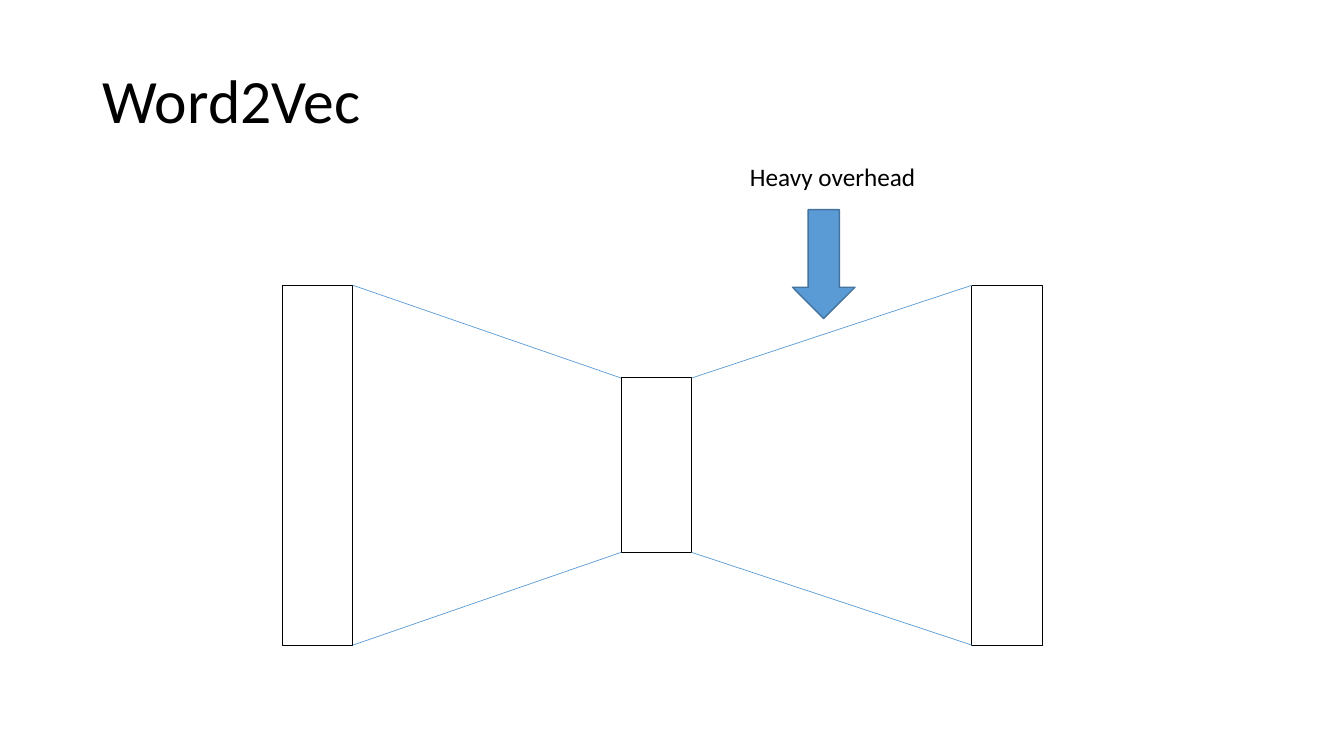
from lxml import etree
from pptx import Presentation
from pptx.dml.color import RGBColor
from pptx.enum.shapes import MSO_CONNECTOR, MSO_SHAPE
from pptx.enum.text import MSO_ANCHOR
from pptx.oxml.ns import qn
from pptx.util import Inches, Pt

STRAIGHT = MSO_CONNECTOR.STRAIGHT
RECTANGLE = MSO_SHAPE.RECTANGLE
DOWN_ARROW = MSO_SHAPE.DOWN_ARROW
MIDDLE = MSO_ANCHOR.MIDDLE
TOP = MSO_ANCHOR.TOP
COLORS = {"black": "000000", "blue": "5B9BD5", "dark blue": "43739E"}


def color(name):
    return RGBColor.from_string(COLORS[name])


deck = Presentation()
deck.slide_width = Inches(13.33)
deck.slide_height = Inches(7.5)
page = deck.slides.add_slide(deck.slide_layouts[6])

# Title and label
texts = [
    ("Word2Vec", 0.92, 0.3, 11.5, 1.45, 44, MIDDLE, True, 0.9),
    ("Heavy overhead", 7.34, 1.55, 1.86, 0.4, 18, TOP, False, 1.0),
]
for words, left, top, width, height, size, anchor, wrap, spacing in texts:
    box = page.shapes.add_textbox(Inches(left), Inches(top), Inches(width), Inches(height))
    box.text_frame.word_wrap = wrap
    box.text_frame.vertical_anchor = anchor
    para = box.text_frame.paragraphs[0]
    para.line_spacing = spacing
    span = para.add_run()
    span.text = words
    span.font.name = "Calibri"
    span.font.size = Pt(size)
    span.font.color.rgb = color("black")

# Network layers: input, hidden, output
layer_width = 0.7
outer_top, outer_bottom = 2.83, 6.4
hidden_top, hidden_bottom = 3.75, 5.48
input_left, hidden_left, output_left = 2.8, 6.16, 9.64
layers = [
    (input_left, outer_top, outer_bottom),
    (hidden_left, hidden_top, hidden_bottom),
    (output_left, outer_top, outer_bottom),
]
for left, top, bottom in layers:
    layer = page.shapes.add_shape(
        RECTANGLE, Inches(left), Inches(top), Inches(layer_width), Inches(bottom - top))
    layer.shadow.inherit = False
    layer.fill.background()
    layer.line.color.rgb = color("black")
    layer.line.width = Pt(0.75)

# Lines joining the corners of neighbouring layers
for (left, *left_ends), (right, *right_ends) in zip(layers, layers[1:]):
    for start_y, end_y in zip(left_ends, right_ends):
        link = page.shapes.add_connector(
            STRAIGHT, Inches(left + layer_width), Inches(start_y), Inches(right), Inches(end_y))
        link.line.color.rgb = color("blue")
        link.line.width = Pt(0.5)
        etree.SubElement(link._element.spPr, qn("a:effectLst"))

# Arrow pointing at the costly output step
arrow = page.shapes.add_shape(DOWN_ARROW, Inches(7.86), Inches(2.08), Inches(0.62), Inches(1.08))
arrow.shadow.inherit = False
arrow.fill.solid()
arrow.fill.fore_color.rgb = color("blue")
arrow.line.color.rgb = color("dark blue")
arrow.line.width = Pt(1)

deck.save("out.pptx")
